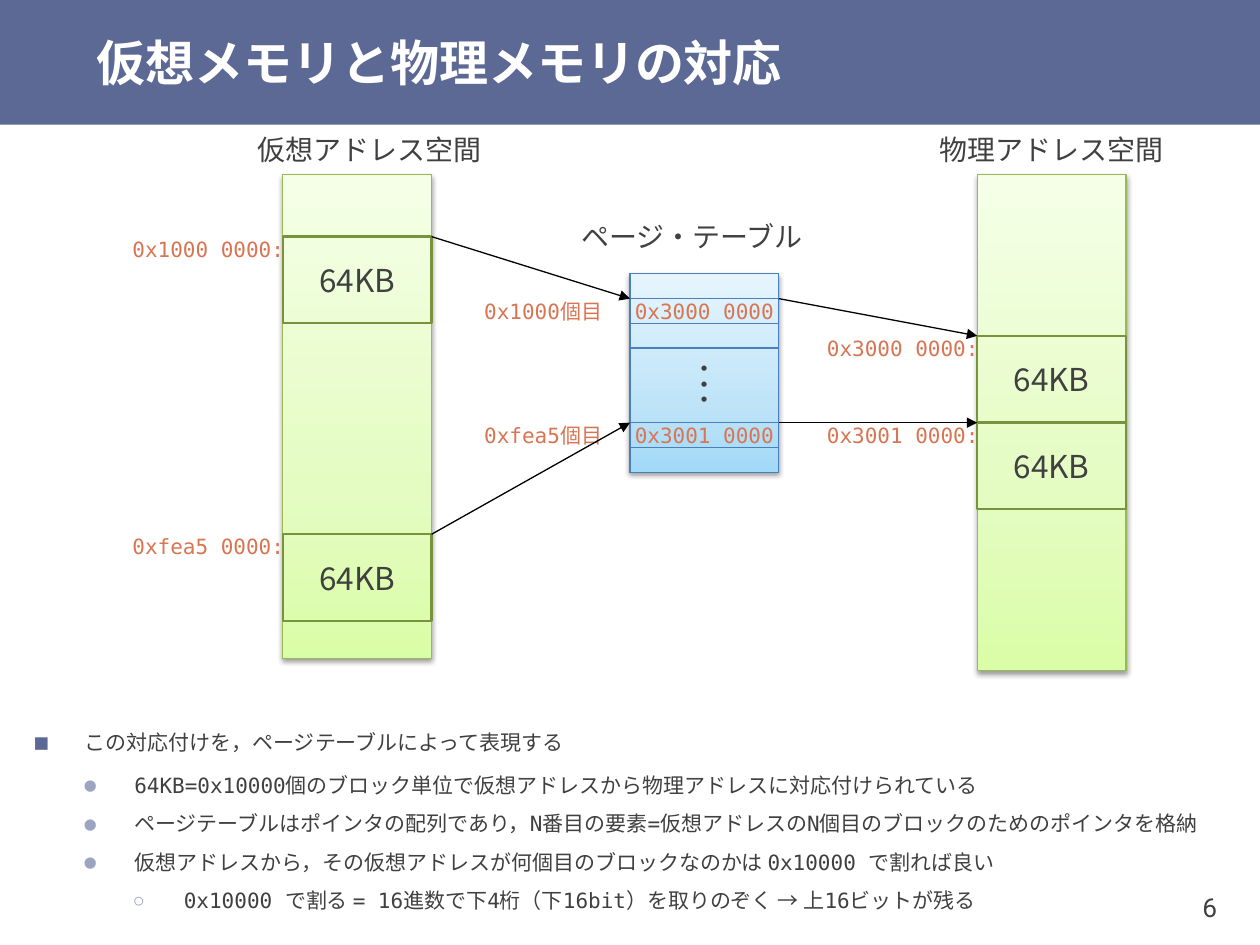
from pptx import Presentation
from pptx.dml.color import RGBColor
from pptx.enum.shapes import MSO_CONNECTOR as Connector, MSO_SHAPE as Shape
from pptx.enum.text import MSO_ANCHOR as Anchor, PP_ALIGN as Align
from pptx.oxml import parse_xml
from pptx.oxml.ns import qn
from pptx.util import Cm, Inches, Pt

NAVY = RGBColor(0x5C, 0x69, 0x94)
LAVENDER = RGBColor(0x9B, 0xA4, 0xC1)
WHITE = RGBColor(0xFF, 0xFF, 0xFF)
BLACK = RGBColor(0, 0, 0)
INK = RGBColor(0x40, 0x40, 0x40)
ORANGE = RGBColor(0xD8, 0x75, 0x52)
GREEN = RGBColor(0x98, 0xB9, 0x55)
DARK_GREEN = RGBColor(0x77, 0x93, 0x3C)
TEAL = RGBColor(0x2E, 0x8D, 0xAB)
BLUE = RGBColor(0x4B, 0x7E, 0xBC)
GREEN_FADE = [(0, RGBColor(0xDA, 0xFD, 0xA7)), (35, RGBColor(0xE4, 0xFC, 0xC2)),
              (100, RGBColor(0xF5, 0xFF, 0xE7))]
BLUE_FADE = [(0, RGBColor(0xA2, 0xD9, 0xF7)), (35, RGBColor(0xBF, 0xE4, 0xF8)),
             (100, RGBColor(0xE6, 0xF5, 0xFD))]

SANS, MONO, ROBOTO = "Noto Sans CJK JP", "DejaVu Sans Mono", "Roboto"
DRAWING_NS = "http://schemas.openxmlformats.org/drawingml/2006/main"
UNIT = Cm(0.5)
GRID_LEFT, GRID_TOP = Cm(5.7), Cm(3.52)
COLUMN_WIDTH, BLOCK_HEIGHT, ENTRY_HEIGHT = 6, 3.5, 1
ADDRESS = dict(size=12, font=MONO, color=ORANGE)
HEADING = dict(size=16)

prs = Presentation()
prs.slide_width, prs.slide_height = Inches(10), Inches(7.5)
slide = prs.slides.add_slide(prs.slide_layouts[6])
shapes = slide.shapes


def xml(markup):
    """Parse one DrawingML element."""
    return parse_xml(f'<a:root xmlns:a="{DRAWING_NS}">{markup}</a:root>')[0]


def grid(column, row, width, height):
    """Turn grid cells into a box in slide lengths."""
    return (int(GRID_LEFT + column * UNIT), int(GRID_TOP + row * UNIT),
            int(width * UNIT), int(height * UNIT))


def write(paragraph, text, size=18, font=SANS, color=INK, bold=False, align=Align.CENTER):
    """Add a formatted run to a paragraph."""
    paragraph.alignment = align
    run = paragraph.add_run()
    run.text = text
    run.font.size, run.font.name, run.font.bold = Pt(size), font, bold
    run.font.color.rgb = color
    run.font._element.find(qn("a:latin")).addnext(xml(f'<a:ea typeface="{SANS}"/>'))


def label(box, text, wrap=False, **style):
    """Place vertically centred text in a bare rectangle, which may overflow sideways."""
    rect = shapes.add_shape(Shape.RECTANGLE, *box)
    rect.shadow.inherit = False
    rect.fill.background()
    rect.line.fill.background()
    frame = rect.text_frame
    frame.word_wrap, frame.vertical_anchor = wrap, Anchor.MIDDLE
    write(frame.paragraphs[0], text, **style)
    return frame


def cell(box, line, width=0.75, fade=None, text=None, **style):
    """Draw an outlined rectangle, with an optional fade, shadow and text."""
    rect = shapes.add_shape(Shape.RECTANGLE, *box)
    rect.shadow.inherit = False
    rect.line.color.rgb, rect.line.width = line, Pt(width)
    rect.fill.background()
    if fade:
        stops = "".join(f'<a:gs pos="{pos * 1000}"><a:srgbClr val="{color}"/></a:gs>'
                        for pos, color in fade)
        properties = rect._element.spPr
        properties.replace(properties.find(qn("a:noFill")), xml(
            f'<a:gradFill rotWithShape="1"><a:gsLst>{stops}</a:gsLst>'
            '<a:lin ang="16200000" scaled="0"/></a:gradFill>'))
        properties.find(qn("a:effectLst")).append(xml(
            f'<a:outerShdw blurRad="{Pt(3.1)}" dist="{Pt(1.6)}" dir="5400000" rotWithShape="0">'
            '<a:srgbClr val="000000"><a:alpha val="38000"/></a:srgbClr></a:outerShdw>'))
    if text:
        rect.text_frame.word_wrap = False
        rect.text_frame.vertical_anchor = Anchor.MIDDLE
        write(rect.text_frame.paragraphs[0], text, **style)
    return rect


def address_space(left, top, height, heading, heading_shift, blocks):
    """Draw one address space with its 64KB blocks and their addresses."""
    cell(grid(left, top, COLUMN_WIDTH, height), GREEN, fade=GREEN_FADE)
    label(grid(left + heading_shift, top - 2, 4, 2), heading, **HEADING)
    for row, address in blocks:
        cell(grid(left, top + row, COLUMN_WIDTH, BLOCK_HEIGHT), DARK_GREEN, 1.25, text="64KB")
        label(grid(left - COLUMN_WIDTH, top + row, COLUMN_WIDTH, ENTRY_HEIGHT), address, **ADDRESS)


def page_table(left, top, entries):
    """Draw the page table with its numbered entries."""
    cell(grid(left, top, COLUMN_WIDTH, 8), TEAL, fade=BLUE_FADE)
    for row in range(3):
        cell(grid(left, top + row, COLUMN_WIDTH, ENTRY_HEIGHT), BLUE)
    dots = cell(grid(left, top + 3, COLUMN_WIDTH, 5), BLUE, text="\uff65" * 3, align=Align.RIGHT)
    dots.text_frame._txBody.bodyPr.set("vert", "vert270")
    label(grid(left + 0.5, top - 2.5, 4, 2), "ページ・テーブル", **HEADING)
    for row, index, address in entries:
        cell(grid(left, top + row, COLUMN_WIDTH, ENTRY_HEIGHT), BLUE, text=address, **ADDRESS)
        label(grid(left - 6.5, top + row, COLUMN_WIDTH, ENTRY_HEIGHT), index, **ADDRESS)


def arrow(start, end):
    """Draw an arrow between two grid points."""
    x1, y1, x2, y2 = grid(*start, 0, 0)[:2] + grid(*end, 0, 0)[:2]
    link = shapes.add_connector(Connector.STRAIGHT, x1, y1, x2, y2)
    link.line.color.rgb, link.line.width = BLACK, Pt(0.75)
    link.line._get_or_add_ln().append(xml('<a:tailEnd type="triangle"/>'))
    link._element.spPr.append(xml("<a:effectLst/>"))


def title_band(height, text, page):
    """Draw the title band and the page number."""
    band = shapes.add_shape(Shape.RECTANGLE, 0, 0, prs.slide_width, height)
    band.shadow.inherit = False
    band.fill.solid()
    band.fill.fore_color.rgb = NAVY
    band.line.fill.background()
    number = label((Inches(8.94), Inches(6.9), Inches(0.79), Inches(0.6)), page,
                   wrap=True, size=15, font=ROBOTO, align=Align.RIGHT)
    number.margin_left = number.margin_right = Inches(0.07)
    title = label((Inches(0.67), 0, Inches(9.33), height), text, wrap=True,
                  size=28, font=ROBOTO, color=WHITE, bold=True, align=Align.LEFT)
    title.margin_top = title.margin_bottom = 0


def explanation(box, points):
    """Write the bulleted explanation, one level and text per point."""
    bullets = [("■", NAVY, 100, 24, 6), ("●", LAVENDER, 90, 3, 3), ("○", LAVENDER, 70, 3, 3)]
    frame = shapes.add_textbox(*box).text_frame
    frame.word_wrap = True
    for position, (level, text) in enumerate(points):
        paragraph = frame.add_paragraph() if position else frame.paragraphs[0]
        mark, color, scale, before, after = bullets[level]
        paragraph.level, paragraph.line_spacing = level, 1.1
        paragraph.space_before, paragraph.space_after = Pt(before), Pt(after)
        write(paragraph, text, size=12, font=MONO, align=Align.LEFT)
        properties = paragraph._p.get_or_add_pPr()
        properties.set("marL", str(Cm(level + 1)))
        properties.set("indent", str(-Cm(1)))
        for part in (f'<a:buClr><a:srgbClr val="{color}"/></a:buClr>',
                     f'<a:buSzPct val="{scale * 1000}"/>',
                     f'<a:buFont typeface="{MONO}"/>',
                     f'<a:buChar char="{mark}"/>'):
            properties.append(xml(part))


title_band(Inches(0.99), "仮想メモリと物理メモリの対応", "6")
address_space(28, 0, 20, "物理アドレス空間", 1,
              [(6.5, "0x3000 0000:"), (10, "0x3001 0000:")])
address_space(0, 0, 19.5, "仮想アドレス空間", 1.5,
              [(2.5, "0x1000 0000:"), (14.5, "0xfea5 0000:")])
explanation((Inches(0.18), Inches(5.72), Inches(9.45), Inches(1.67)), [
    (0, "この対応付けを，ページテーブルによって表現する"),
    (1, "64KB=0x10000個のブロック単位で仮想アドレスから物理アドレスに対応付けられている"),
    (1, "ページテーブルはポインタの配列であり，N番目の要素=仮想アドレスのN個目のブロックのためのポインタを格納"),
    (1, "仮想アドレスから，その仮想アドレスが何個目のブロックなのかは 0x10000 で割れば良い"),
    (2, "0x10000 で割る = 16進数で下4桁（下16bit）を取りのぞく → 上16ビットが残る"),
])
page_table(14, 4, [(1, "0x1000個目", "0x3000 0000"), (6, "0xfea5個目", "0x3001 0000")])
for virtual_row, entry_row, physical_row in [(2.5, 5, 6.5), (14.5, 10, 10)]:
    arrow((6, virtual_row), (14, entry_row))
    arrow((20, entry_row), (28, physical_row))

prs.save("out.pptx")
